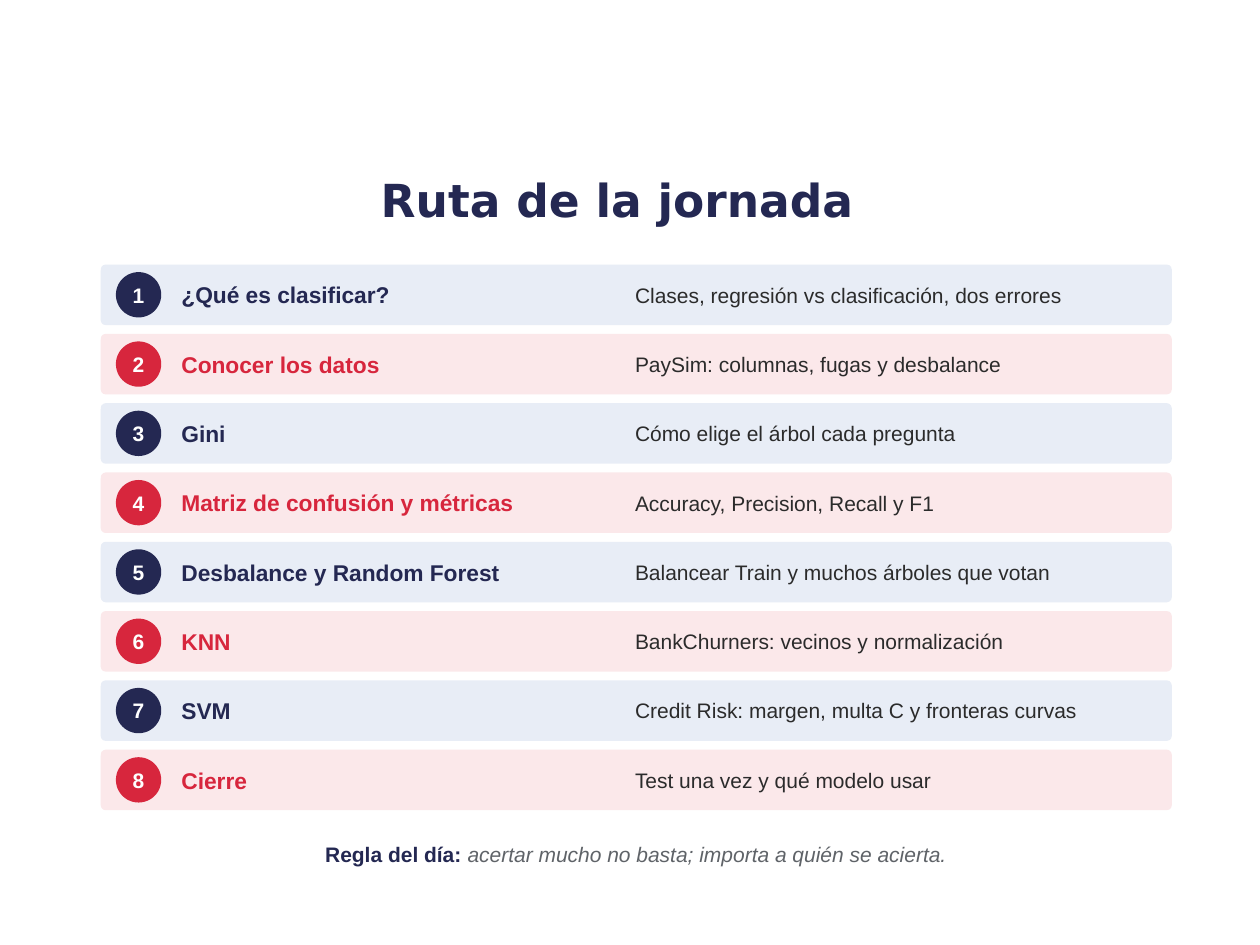
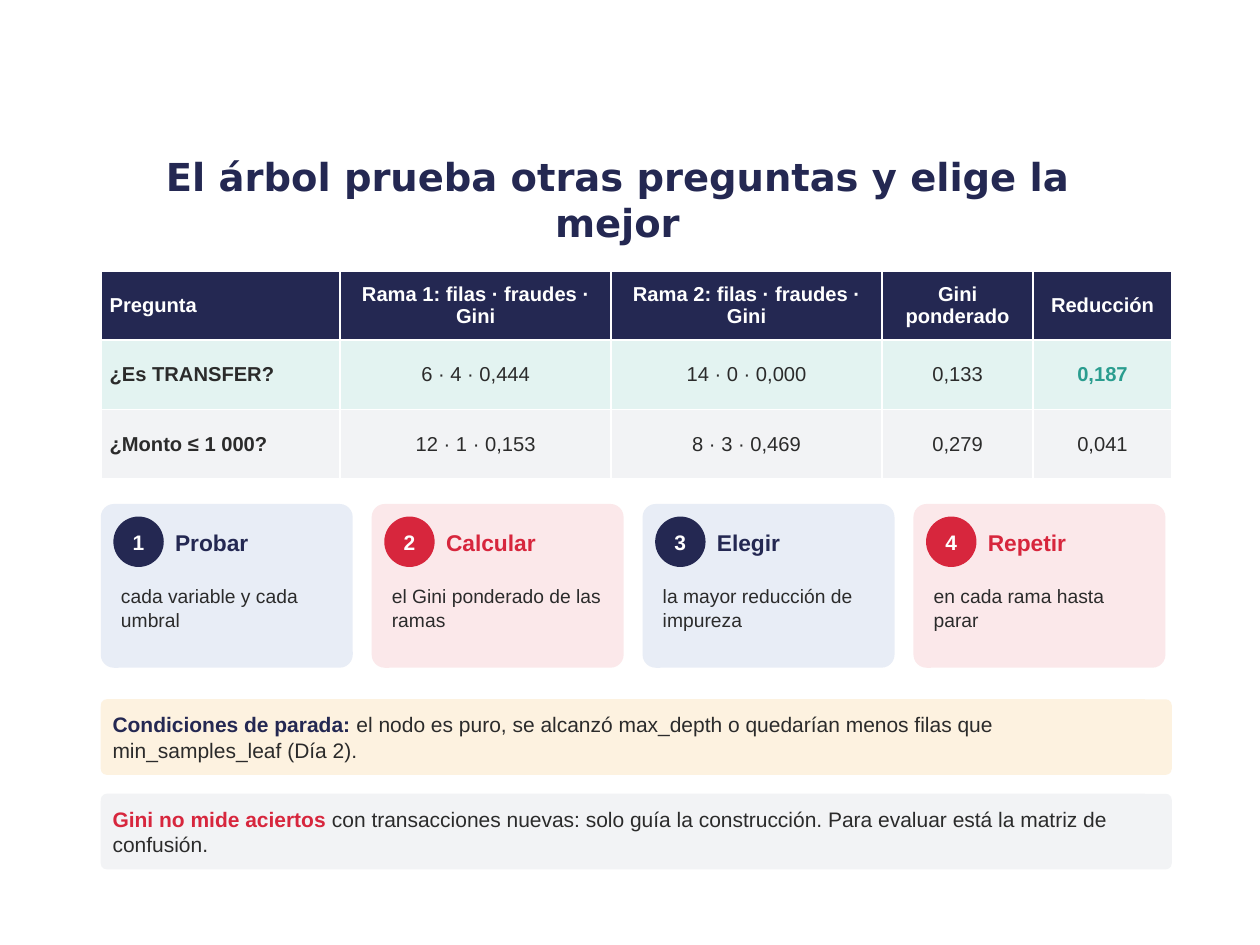
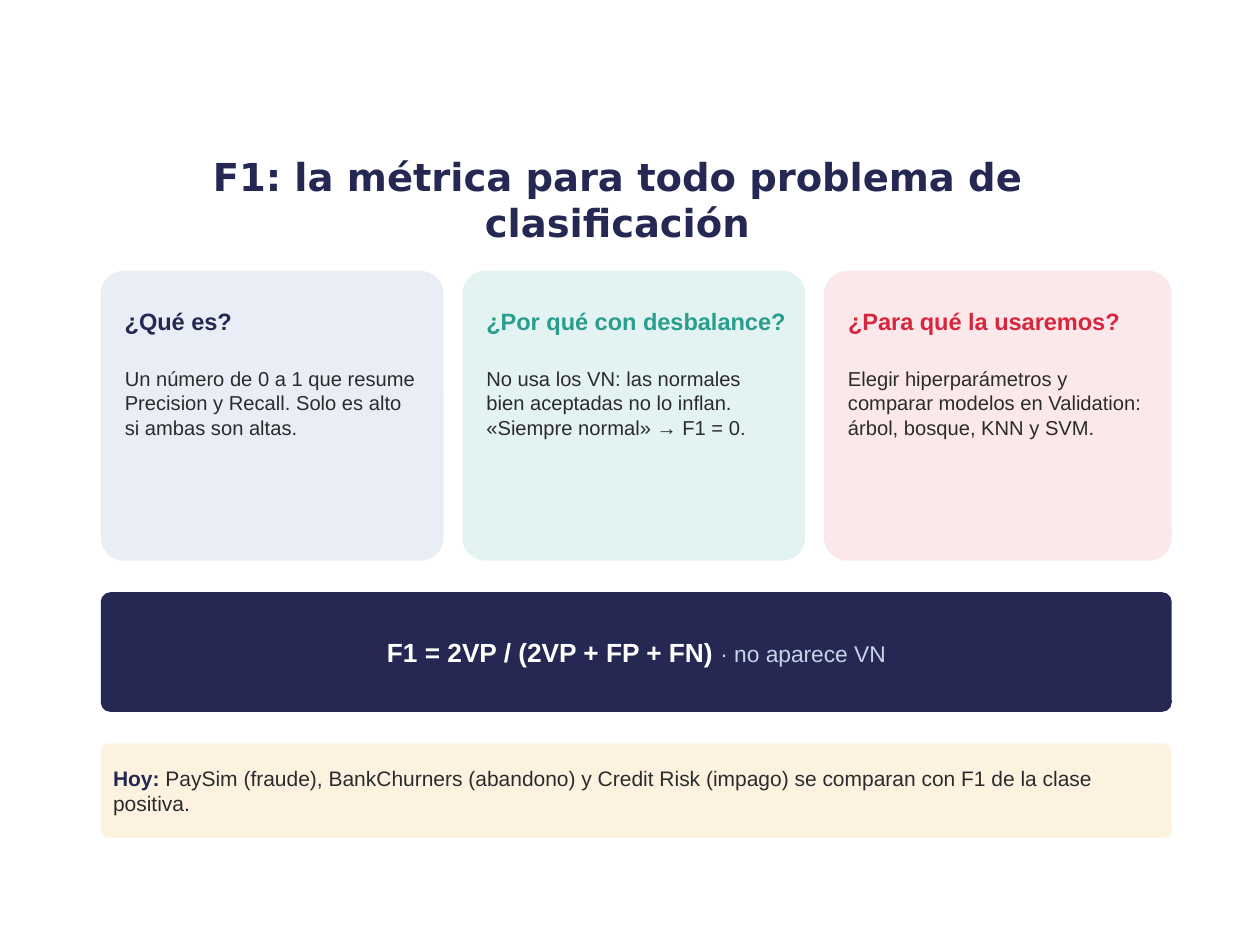
import pptx
import pptx.util
import pptx.dml.color
import pptx.enum.shapes
import pptx.enum.text

SLIDE_WIDTH = pptx.util.Inches(10)
SLIDE_HEIGHT = pptx.util.Inches(7.5)
GRID = SLIDE_WIDTH / 100
LEFT, WIDTH = 8, 85
BODY_FONT, TITLE_FONT = "Arial", "DejaVu Sans"
COLORS = {
    "navy": "242852",
    "red": "D7263D",
    "teal": "2A9D8F",
    "ink": "2B2B2B",
    "grey": "5F6368",
    "white": "FFFFFF",
    "lilac": "C9D2E8",
    "pale_navy": "E8EDF6",
    "pale_red": "FBE8EA",
    "pale_teal": "E3F3F1",
    "pale_amber": "FDF2E0",
    "pale_grey": "F2F3F5",
}
ACCENTS = ["navy", "red"]
SHAPES = pptx.enum.shapes.MSO_SHAPE
ALIGN = pptx.enum.text.PP_ALIGN
ANCHOR = pptx.enum.text.MSO_ANCHOR
AUTO_SIZE = pptx.enum.text.MSO_AUTO_SIZE


def grid(*cells):
    return [round(cell * GRID) for cell in cells]


def rgb(color):
    return pptx.dml.color.RGBColor.from_string(COLORS[color])


def style(run, size, color, bold=False, italic=False, font=BODY_FONT):
    run.font.name = font
    run.font.size = pptx.util.Pt(size)
    run.font.color.rgb = rgb(color)
    run.font.bold = bold
    run.font.italic = italic


def set_margins(holder, horizontal, vertical):
    holder.margin_left = holder.margin_right = pptx.util.Inches(horizontal)
    holder.margin_top = holder.margin_bottom = pptx.util.Inches(vertical)


def add_title(slide, words, size):
    title = slide.shapes.title
    title.left, title.top, title.width, title.height = grid(7.5, 11.8, 83, 8)
    frame = title.text_frame
    frame.text = words
    frame.word_wrap = True
    frame.auto_size = AUTO_SIZE.NONE
    frame.vertical_anchor = ANCHOR.MIDDLE
    frame.paragraphs[0].alignment = ALIGN.CENTER
    style(frame.paragraphs[0].runs[0], size, "navy", bold=True, font=TITLE_FONT)


def write(frame, pieces, margin, align, space_after):
    frame.word_wrap = True
    frame.vertical_anchor = ANCHOR.MIDDLE
    set_margins(frame, margin, margin)
    paragraph = frame.paragraphs[0]
    paragraph.alignment = align
    paragraph.space_after = pptx.util.Pt(space_after)
    for words, *look in pieces:
        run = paragraph.add_run()
        run.text = words
        style(run, *look)


def add_panel(slide, box, fill, kind=SHAPES.ROUNDED_RECTANGLE):
    panel = slide.shapes.add_shape(kind, *grid(*box))
    panel.shadow.inherit = False
    panel.line.fill.background()
    if fill:
        panel.fill.solid()
        panel.fill.fore_color.rgb = rgb(fill)
    else:
        panel.fill.background()
    if kind == SHAPES.ROUNDED_RECTANGLE:
        panel.adjustments[0] = 0.08
    return panel


def add_band(slide, top, height, fill, pieces, align=ALIGN.LEFT):
    band = add_panel(slide, (LEFT, top, WIDTH, height), fill)
    write(band.text_frame, pieces, 0.08, align, 3)


def add_badge(slide, left, top, size, number, color):
    badge = add_panel(slide, (left, top, size, size), color, SHAPES.OVAL)
    write(badge.text_frame, [(str(number), 12, "white", True)], 0, ALIGN.CENTER, 3)


def add_label(slide, box, words, size, color="ink", bold=False, anchor=ANCHOR.MIDDLE):
    frame = slide.shapes.add_textbox(*grid(*box)).text_frame
    write(frame, [(words, size, color, bold)], 0.04, ALIGN.LEFT, 4)
    frame.vertical_anchor = anchor
    frame.auto_size = AUTO_SIZE.SHAPE_TO_FIT_TEXT


def add_agenda_row(slide, number, topic, detail):
    top = 21 + 5.5 * (number - 1)
    accent = ACCENTS[(number - 1) % 2]
    add_panel(slide, (LEFT, top, WIDTH, 4.8), "pale_" + accent)
    add_badge(slide, 9.2, top + 0.6, 3.6, number, accent)
    add_label(slide, (14, top + 0.2, 36, 4.4), topic, 13, accent, True)
    add_label(slide, (50, top + 0.2, 42, 4.4), detail, 12)


def add_step_card(slide, number, action, detail):
    left, top = LEFT + 21.5 * (number - 1), 40
    accent = ACCENTS[(number - 1) % 2]
    add_panel(slide, (left, top, 20, 13), "pale_" + accent)
    add_badge(slide, left + 1, top + 1, 4, number, accent)
    add_label(slide, (left + 5.5, top + 0.8, 14, 4.5), action, 13, accent, True)
    add_label(slide, (left + 1.2, top + 6, 18, 6.5), detail, 11, anchor=ANCHOR.TOP)


def add_question_card(slide, left, width, accent, question, answer):
    top = 21.5
    add_panel(slide, (left, top, width, 23), "pale_" + accent)
    add_label(slide, (left + 1.5, top + 1.2, width - 2.5, 5.5), question, 13.5, accent, True)
    add_label(slide, (left + 1.5, top + 7.2, width - 3, 15), answer, 11.5, anchor=ANCHOR.TOP)


def fill_cell(cell, words, fill, color, bold, align):
    cell.text = words
    cell.fill.solid()
    cell.fill.fore_color.rgb = rgb(fill)
    cell.vertical_anchor = ANCHOR.MIDDLE
    set_margins(cell, 0.07, 0.03)
    paragraph = cell.text_frame.paragraphs[0]
    paragraph.alignment = align
    style(paragraph.runs[0], 11.5, color, bold)


def add_split_table(slide, rows, widths, fills, best):
    table = slide.shapes.add_table(
        len(rows), len(widths), *grid(LEFT, 21.5, WIDTH, 5.5 * len(rows))).table
    for column, width in zip(table.columns, grid(*widths)):
        column.width = width
    for r, row in enumerate(rows):
        for c, words in enumerate(row):
            color = "white" if r == 0 else "teal" if (r, c) == best else "ink"
            bold = r == 0 or c == 0 or (r, c) == best
            align = ALIGN.LEFT if c == 0 else ALIGN.CENTER
            fill_cell(table.cell(r, c), words, fills[r], color, bold, align)


def build_agenda(slide):
    add_title(slide, "Ruta de la jornada", 26)
    agenda = [
        ("¿Qué es clasificar?", "Clases, regresión vs clasificación, dos errores"),
        ("Conocer los datos", "PaySim: columnas, fugas y desbalance"),
        ("Gini", "Cómo elige el árbol cada pregunta"),
        ("Matriz de confusión y métricas", "Accuracy, Precision, Recall y F1"),
        ("Desbalance y Random Forest", "Balancear Train y muchos árboles que votan"),
        ("KNN", "BankChurners: vecinos y normalización"),
        ("SVM", "Credit Risk: margen, multa C y fronteras curvas"),
        ("Cierre", "Test una vez y qué modelo usar"),
    ]
    for number, (topic, detail) in enumerate(agenda, 1):
        add_agenda_row(slide, number, topic, detail)
    add_band(slide, 65.8, 4, None, [
        ("Regla del día: ", 12, "navy", True),
        ("acertar mucho no basta; importa a quién se acierta.", 12, "grey", False, True),
    ], ALIGN.CENTER)


def build_tree(slide):
    add_title(slide, "El árbol prueba otras preguntas y elige la mejor", 22)
    splits = [
        ("Pregunta", "Rama 1: filas · fraudes · Gini", "Rama 2: filas · fraudes · Gini",
         "Gini ponderado", "Reducción"),
        ("¿Es TRANSFER?", "6 · 4 · 0,444", "14 · 0 · 0,000", "0,133", "0,187"),
        ("¿Monto ≤ 1 000?", "12 · 1 · 0,153", "8 · 3 · 0,469", "0,279", "0,041"),
    ]
    add_split_table(slide, splits, [19, 21.5, 21.5, 12, 11],
                    ["navy", "pale_teal", "pale_grey"], best=(1, 4))
    steps = [
        ("Probar", "cada variable y cada umbral"),
        ("Calcular", "el Gini ponderado de las ramas"),
        ("Elegir", "la mayor reducción de impureza"),
        ("Repetir", "en cada rama hasta parar"),
    ]
    for number, (action, detail) in enumerate(steps, 1):
        add_step_card(slide, number, action, detail)
    add_band(slide, 55.5, 6, "pale_amber", [
        ("Condiciones de parada: ", 12, "navy", True),
        ("el nodo es puro, se alcanzó max_depth o quedarían menos filas que "
         "min_samples_leaf (Día 2).", 12, "ink"),
    ])
    add_band(slide, 63, 6, "pale_grey", [
        ("Gini no mide aciertos ", 12, "red", True),
        ("con transacciones nuevas: solo guía la construcción. Para evaluar está la "
         "matriz de confusión.", 12, "ink"),
    ])


def build_f1(slide):
    add_title(slide, "F1: la métrica para todo problema de clasificación", 22)
    questions = [
        (27.2, "navy", "¿Qué es?",
         "Un número de 0 a 1 que resume Precision y Recall. Solo es alto si ambas son altas."),
        (27.2, "teal", "¿Por qué con desbalance?",
         "No usa los VN: las normales bien aceptadas no lo inflan. «Siempre normal» → F1 = 0."),
        (27.6, "red", "¿Para qué la usaremos?",
         "Elegir hiperparámetros y comparar modelos en Validation: árbol, bosque, KNN y SVM."),
    ]
    left = LEFT
    for width, accent, question, answer in questions:
        add_question_card(slide, left, width, accent, question, answer)
        left += width + 1.5
    add_band(slide, 47, 9.5, "navy", [
        ("F1 = 2VP / (2VP + FP + FN) ", 15, "white", True),
        ("· no aparece VN", 13, "lilac"),
    ], ALIGN.CENTER)
    add_band(slide, 59, 7.5, "pale_amber", [
        ("Hoy: ", 12, "navy", True),
        ("PaySim (fraude), BankChurners (abandono) y Credit Risk (impago) se comparan "
         "con F1 de la clase positiva.", 12, "ink"),
    ])


def main():
    deck = pptx.Presentation()
    deck.slide_width, deck.slide_height = SLIDE_WIDTH, SLIDE_HEIGHT
    title_only = deck.slide_layouts[5]
    for build in (build_agenda, build_tree, build_f1):
        build(deck.slides.add_slide(title_only))
    deck.save("out.pptx")


if __name__ == "__main__":
    main()
